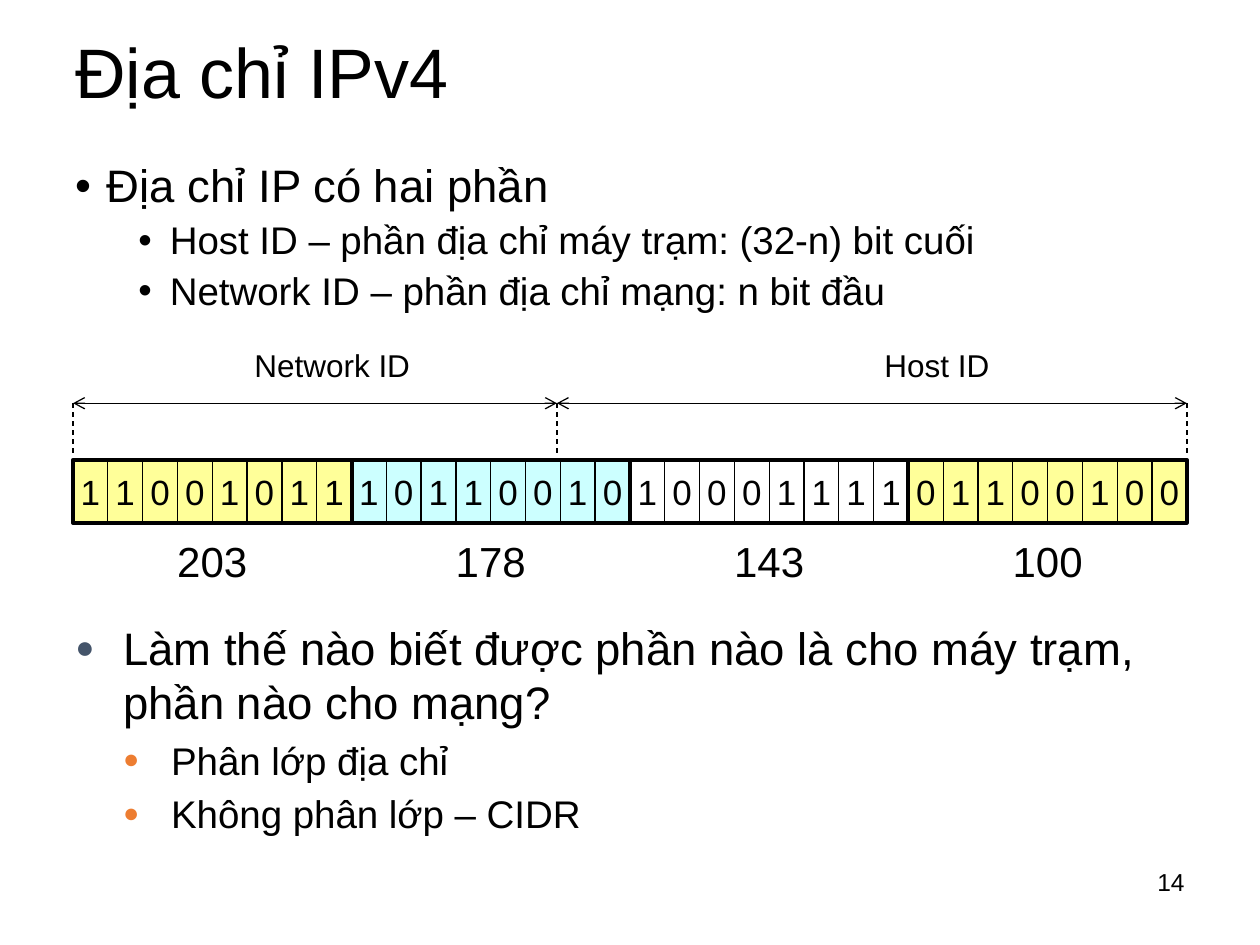
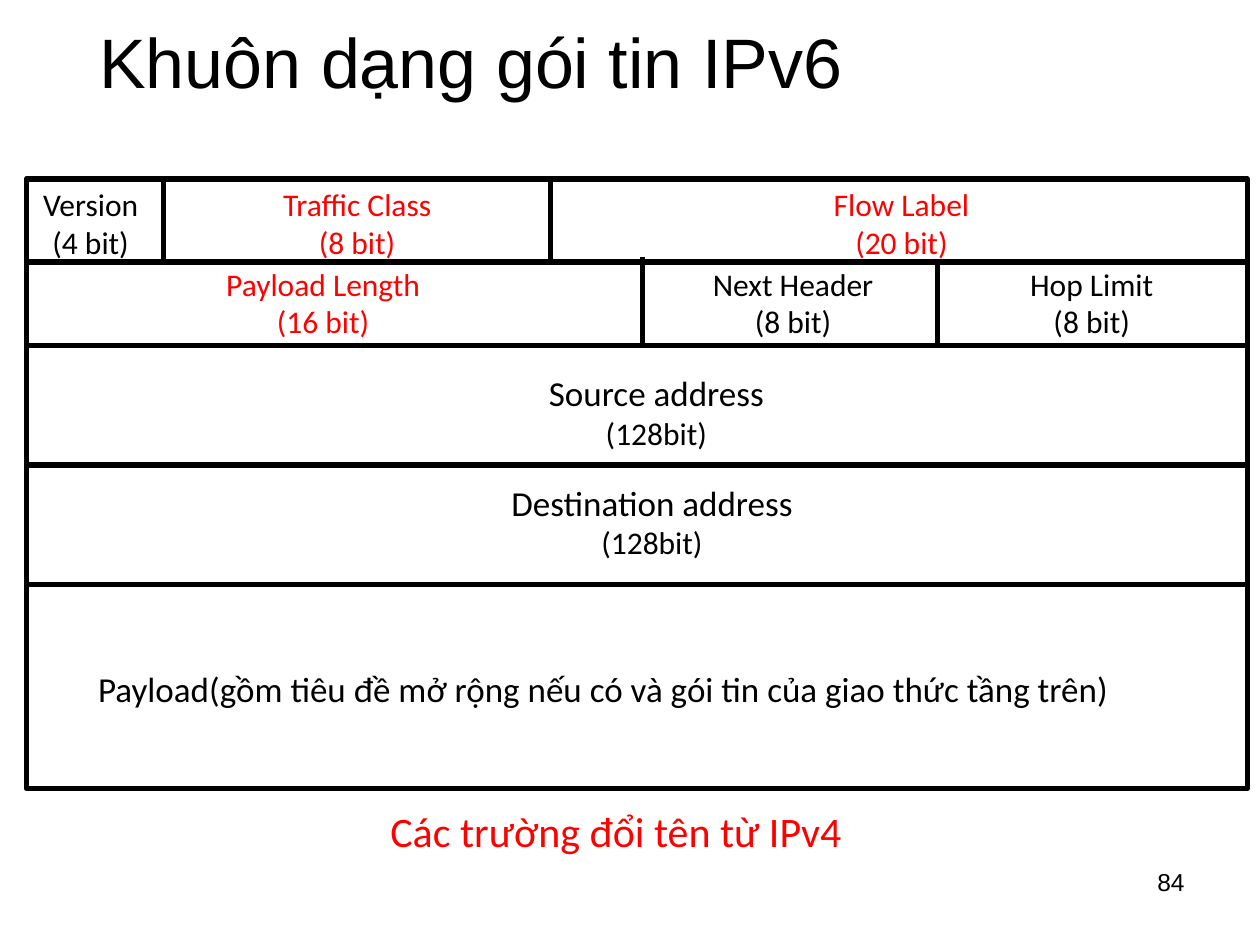
from dataclasses import dataclass

from lxml import etree
from pptx import Presentation
from pptx.dml.color import RGBColor
from pptx.enum.dml import MSO_LINE
from pptx.enum.shapes import MSO_CONNECTOR, MSO_SHAPE
from pptx.enum.text import MSO_ANCHOR, PP_ALIGN
from pptx.oxml.ns import qn
from pptx.util import Inches, Pt


@dataclass(frozen=True)
class Theme:
    black: str = "000000"
    white: str = "FFFFFF"
    red: str = "FF0000"
    yellow: str = "FFFF99"
    cyan: str = "CCFFFF"
    slate: str = "44546A"
    orange: str = "ED7D31"
    heading_font: str = "Arial"
    field_font: str = "Calibri"
    title: int = 40
    bullet: int = 26
    sub_bullet: int = 22
    octet: int = 24
    bit: int = 20
    address: int = 20
    label: int = 18
    page_number: int = 14
    thin: float = 0.75
    octet_line: float = 2.25
    header_line: float = 3


theme = Theme()


def add_text(slide, box, lines, color=theme.black, font=theme.heading_font,
             align=PP_ALIGN.LEFT, wrap=True):
    """Add a text box; lines holds one (text, size) pair per paragraph."""
    text_frame = slide.shapes.add_textbox(*map(Inches, box)).text_frame
    text_frame.word_wrap = wrap
    text_frame.text = "\n".join(text for text, size in lines)
    for paragraph, (text, size) in zip(text_frame.paragraphs, lines):
        paragraph.alignment = align
        for run in paragraph.runs:
            run.font.name = font
            run.font.size = Pt(size)
            run.font.color.rgb = RGBColor.from_string(color)
    return text_frame


def add_line(slide, start, end, width, dashed=False, arrows=False):
    connector = slide.shapes.add_connector(
        MSO_CONNECTOR.STRAIGHT, *map(Inches, start + end))
    connector.line.color.rgb = RGBColor.from_string(theme.black)
    connector.line.width = Pt(width)
    if dashed:
        connector.line.dash_style = MSO_LINE.DASH
    properties = connector._element.spPr
    if arrows:
        for tag in ("a:headEnd", "a:tailEnd"):
            etree.SubElement(properties.find(qn("a:ln")), qn(tag), type="arrow")
    etree.SubElement(properties, qn("a:effectLst"))


presentation = Presentation()
presentation.slide_width = Inches(10)
presentation.slide_height = Inches(7.5)

# Shared frame: title and page number
slides = []
for title, title_box, page_number in [
    ("Địa chỉ IPv4", (0.5, 0.13, 8.25, 0.95), "14"),
    ("Khuôn dạng gói tin IPv6", (0.69, 0.16, 8.62, 0.73), "84"),
]:
    slide = presentation.slides.add_slide(presentation.slide_layouts[6])
    text_frame = add_text(slide, title_box, [(title, theme.title)])
    text_frame.vertical_anchor = MSO_ANCHOR.MIDDLE
    text_frame.paragraphs[0].line_spacing = 0.9
    add_text(slide, (7.17, 6.83, 2.33, 0.5), [(page_number, theme.page_number)],
             align=PP_ALIGN.RIGHT)
    slides.append(slide)
address_slide, packet_slide = slides

# IPv4 address: bullet lists
# Each style: box, line spacing, space before, bullet, bullet size, bullet colours,
# margins, indent
for box, spacing, gap, bullet, bullet_size, bullet_colors, margins, indent, texts in [
    ((0.5, 1.25, 9, 1.79), 0.9, 5, "•", 100, (theme.black, theme.black),
     (0.25, 0.75), 0.25,
     ["Địa chỉ IP có hai phần",
      "Host ID – phần địa chỉ máy trạm: (32-n) bit cuối",
      "Network ID – phần địa chỉ mạng: n bit đầu"]),
    ((0.5, 4.87, 9, 1.37), 1.0, 4.4, "●", 70, (theme.slate, theme.orange),
     (0.38, 0.76), 0.38,
     ["Làm thế nào biết được phần nào là cho máy trạm, phần nào cho mạng?",
      "Phân lớp địa chỉ",
      "Không phân lớp – CIDR"]),
]:
    sizes = [theme.bullet, theme.sub_bullet, theme.sub_bullet]
    text_frame = add_text(address_slide, box, list(zip(texts, sizes)))
    for index, paragraph in enumerate(text_frame.paragraphs):
        level = min(index, 1)
        paragraph.level = level
        properties = paragraph._p.get_or_add_pPr()
        properties.set("marL", str(Inches(margins[level])))
        properties.set("indent", str(-Inches(indent)))
        bullet_color = etree.SubElement(properties, qn("a:buClr"))
        etree.SubElement(bullet_color, qn("a:srgbClr"), val=bullet_colors[level])
        etree.SubElement(properties, qn("a:buSzPct"), val=str(bullet_size * 1000))
        etree.SubElement(properties, qn("a:buFont"), typeface=theme.heading_font)
        etree.SubElement(properties, qn("a:buChar"), char=bullet)
        paragraph.line_spacing = spacing
        if level:
            paragraph.space_before = Pt(gap)

# IPv4 address: four octets of eight bits
address_left, address_top, octet_width, bit_height = 0.58, 3.65, 2.21, 0.5
bit_width = octet_width / 8
octets = [(203, theme.yellow), (178, theme.cyan), (143, None), (100, theme.yellow)]
cells = []
for index, (value, fill) in enumerate(octets):
    octet_left = address_left + index * octet_width
    for position, bit in enumerate(f"{value:08b}"):
        cells.append((octet_left + position * bit_width, bit_width, fill,
                      theme.thin, bit))
    add_text(address_slide, (octet_left + 0.08, 4.2, 2.05, 0.5),
             [(str(value), theme.octet)], align=PP_ALIGN.CENTER)
for index in range(len(octets)):
    cells.append((address_left + index * octet_width, octet_width, None,
                  theme.octet_line, ""))

for left, width, fill, line_width, bit in cells:
    shape = address_slide.shapes.add_shape(
        MSO_SHAPE.RECTANGLE, Inches(left), Inches(address_top),
        Inches(width), Inches(bit_height))
    shape.shadow.inherit = False
    if fill:
        shape.fill.solid()
        shape.fill.fore_color.rgb = RGBColor.from_string(fill)
    else:
        shape.fill.background()
    shape.line.color.rgb = RGBColor.from_string(theme.black)
    shape.line.width = Pt(line_width)
    if bit:
        text_frame = shape.text_frame
        text_frame.text = bit
        text_frame.word_wrap = False
        text_frame.vertical_anchor = MSO_ANCHOR.MIDDLE
        paragraph = text_frame.paragraphs[0]
        paragraph.alignment = PP_ALIGN.CENTER
        font = paragraph.runs[0].font
        font.name = theme.heading_font
        font.size = Pt(theme.bit)
        font.color.rgb = RGBColor.from_string(theme.black)

# IPv4 address: network and host spans
network_end, address_right, span_top = 4.42, 9.42, 3.2
for x in (address_left, network_end, address_right):
    add_line(address_slide, (x, span_top), (x, 3.62), theme.thin, dashed=True)
for label, label_left, label_width, start, end in [
    ("Network ID", 1.92, 1.55, address_left, network_end),
    ("Host ID", 6.92, 1.15, network_end, address_right),
]:
    add_text(address_slide, (label_left, 2.7, label_width, 0.4),
             [(label, theme.label)])
    add_line(address_slide, (start, span_top), (end, span_top), theme.thin, arrows=True)

# IPv6 packet: frame and dividers
packet_left, packet_top, packet_width, packet_height = 0.21, 1.42, 9.69, 4.84
frame = packet_slide.shapes.add_shape(
    MSO_SHAPE.RECTANGLE, Inches(packet_left), Inches(packet_top),
    Inches(packet_width), Inches(packet_height))
frame.shadow.inherit = False
frame.fill.solid()
frame.fill.fore_color.rgb = RGBColor.from_string(theme.white)
frame.line.color.rgb = RGBColor.from_string(theme.black)
frame.line.width = Pt(theme.header_line)

first_row_end, second_row_end = 2.08, 2.74
for y in (first_row_end, second_row_end, 3.69, 4.64):
    add_line(packet_slide, (packet_left, y), (packet_left + packet_width, y),
             theme.header_line)
for x, top, bottom in [
    (1.3, packet_top, first_row_end),
    (4.37, packet_top, first_row_end),
    (5.1, 2.04, second_row_end),
    (7.44, first_row_end, second_row_end),
]:
    add_line(packet_slide, (x, top), (x, bottom), theme.header_line)

# IPv6 packet: fields
for name, bits, left, top, width, size, color in [
    ("Version", "(4 bit)", 0.2, 1.42, 1.04, theme.label, theme.black),
    ("Traffic Class", "(8 bit)", 1.86, 1.42, 1.95, theme.label, theme.red),
    ("Flow Label", "(20 bit)", 5.94, 1.42, 2.43, theme.label, theme.red),
    ("Payload Length", "(16 bit)", 1.35, 2.05, 2.43, theme.label, theme.red),
    ("Next Header", "(8 bit)", 5.16, 2.05, 2.27, theme.label, theme.black),
    ("Hop Limit", "(8 bit)", 7.45, 2.05, 2.43, theme.label, theme.black),
    ("Source address", "(128bit)", 3.58, 2.9, 3.26, theme.address, theme.black),
    ("Destination address", "(128bit)", 3.25, 3.77, 3.85, theme.address, theme.black),
]:
    add_text(packet_slide, (left, top, width, 0.71),
             [(name, size), (bits, theme.label)], color, theme.field_font,
             PP_ALIGN.CENTER)

add_text(packet_slide, (0.68, 5.25, 9.07, 0.44),
         [("Payload(gồm tiêu đề mở rộng nếu có và gói tin của giao thức tầng trên)",
           theme.address)], font=theme.field_font, wrap=False)
add_text(packet_slide, (3, 6.34, 4.2, 0.5),
         [("Các trường đổi tên từ IPv4", theme.octet)],
         theme.red, theme.field_font, wrap=False)

presentation.save("out.pptx")
